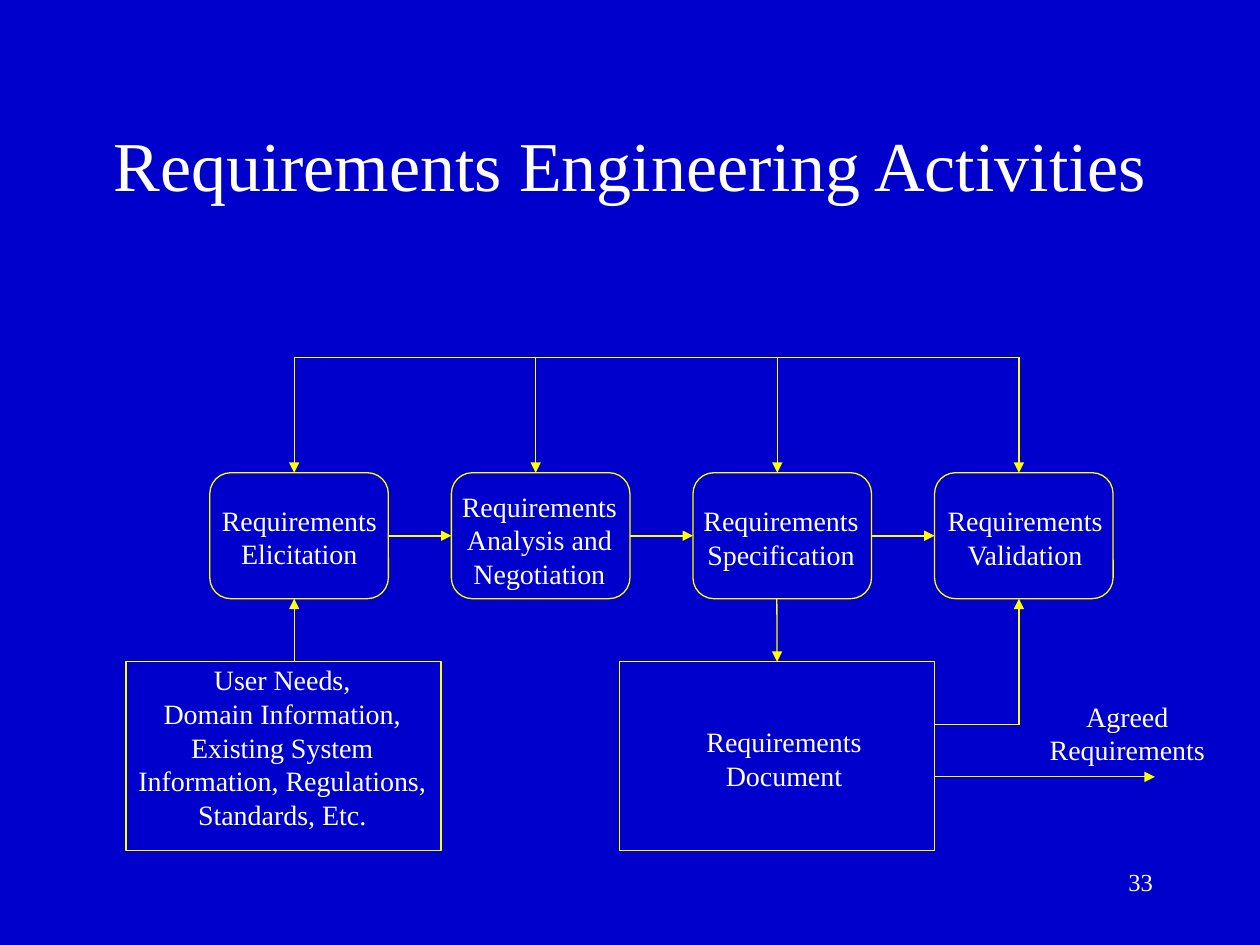
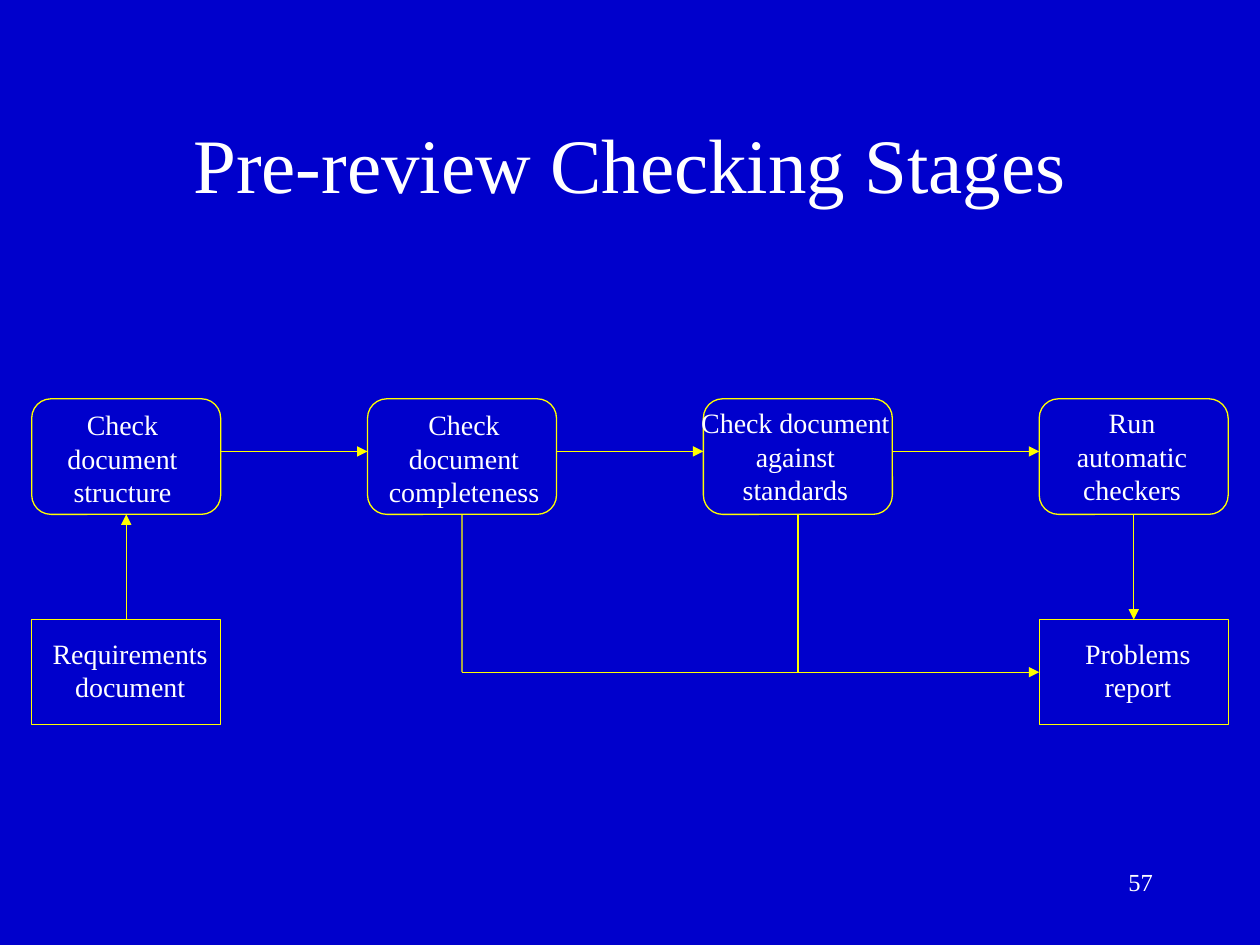
from dataclasses import dataclass
from typing import Any, NamedTuple

from lxml.etree import SubElement
from pptx import Presentation
from pptx.dml.color import RGBColor
from pptx.enum.shapes import MSO_CONNECTOR, MSO_SHAPE
from pptx.enum.text import MSO_ANCHOR, MSO_AUTO_SIZE, PP_ALIGN
from pptx.oxml.ns import qn
from pptx.shapes.autoshape import Shape
from pptx.slide import Slide
from pptx.util import Cm, Pt

TOP, LEFT, BOTTOM, RIGHT = range(4)


@dataclass(frozen=True)
class Theme:
    """Colours, font, type sizes and line widths of the deck."""

    background: RGBColor = RGBColor(0x00, 0x00, 0xCC)
    text: RGBColor = RGBColor(0xFF, 0xFF, 0xFF)
    line: RGBColor = RGBColor(0xFF, 0xFF, 0x00)
    font: str = "Times New Roman"
    label_size: float = 16
    number_size: float = 14
    thin: float = 0.75
    medium: float = 1


THEME = Theme()


class Frame(NamedTuple):
    """Position and size in centimetres."""

    left: float
    top: float
    width: float
    height: float


class Point(NamedTuple):
    """Free line end in centimetres."""

    x: float
    y: float


class Joint(NamedTuple):
    """Line end glued to the middle of a side."""

    shape: Shape
    side: int


@dataclass(frozen=True)
class Label:
    """Centred lines of text placed by their top left corner."""

    text: str
    left: float
    top: float
    width: float = 3.63


TITLE_FRAME = Frame(1.9, 1.7, 21.6, 3.18)
NUMBER_FRAME = Frame(18.2, 17.36, 5.29, 1.27)
LABEL_SLACK = 0.1


def apply_format(target: Any, values: dict[str, Any]) -> None:
    """Set each named attribute on the target."""
    for name, value in values.items():
        setattr(target, name, value)


def add_text(slide: Slide, text: str, frame: Frame, size: float,
             alignment: PP_ALIGN, frame_format: dict[str, Any]) -> None:
    """Add a text box with one paragraph per line."""
    box = slide.shapes.add_textbox(*map(Cm, frame))
    box.text_frame.text = text
    apply_format(box.text_frame, frame_format)
    for paragraph in box.text_frame.paragraphs:
        paragraph.alignment = alignment
        apply_format(paragraph.font, {"name": THEME.font, "size": Pt(size)})
        paragraph.font.color.rgb = THEME.text


def add_labels(slide: Slide, labels: list[Label]) -> None:
    """Add labels with slack on both sides and a height set by their lines."""
    label_format = {"word_wrap": False, "auto_size": MSO_AUTO_SIZE.SHAPE_TO_FIT_TEXT}
    for label in labels:
        height = 0.26 + 0.68 * len(label.text.split("\n"))
        frame = Frame(label.left - LABEL_SLACK, label.top,
                      label.width + 2 * LABEL_SLACK, height)
        add_text(slide, label.text, frame, THEME.label_size, PP_ALIGN.CENTER, label_format)


def add_box(slide: Slide, frame: Frame, rounded: bool = False) -> Shape:
    """Add an outlined rectangle, with round corners for an activity."""
    preset = MSO_SHAPE.ROUNDED_RECTANGLE if rounded else MSO_SHAPE.RECTANGLE
    shape = slide.shapes.add_shape(preset, *map(Cm, frame))
    shape.shadow.inherit = False
    shape.fill.background()
    shape.line.color.rgb = THEME.line
    shape.line.width = Pt(THEME.thin)
    return shape


def add_activities(slide: Slide, first: Frame, step: float) -> list[Shape]:
    """Add a row of four evenly spaced activities."""
    return [add_box(slide, first._replace(left=first.left + step * column), True)
            for column in range(4)]


def add_line(slide: Slide, start: Point | Joint, end: Point | Joint,
             arrow: bool = True, width: float = THEME.thin) -> None:
    """Draw a straight line between free or glued ends."""
    corners = [Cm(value) for spot in (start, end)
               for value in (spot if isinstance(spot, Point) else (0, 0))]
    connector = slide.shapes.add_connector(MSO_CONNECTOR.STRAIGHT, *corners)
    for spot, join in ((start, connector.begin_connect), (end, connector.end_connect)):
        if isinstance(spot, Joint):
            join(*spot)
    connector.line.color.rgb = THEME.line
    connector.line.width = Pt(width)
    properties = connector._element.spPr
    if arrow:
        SubElement(properties.find(qn("a:ln")), qn("a:tailEnd"), type="triangle")
    SubElement(properties, qn("a:effectLst"))


def add_slide(presentation: Any, title: str, title_size: float, number: int) -> Slide:
    """Add a slide with background, title and page number."""
    slide = presentation.slides.add_slide(presentation.slide_layouts[6])
    slide.background.fill.solid()
    slide.background.fill.fore_color.rgb = THEME.background
    add_text(slide, title, TITLE_FRAME, title_size, PP_ALIGN.CENTER,
             {"word_wrap": True, "vertical_anchor": MSO_ANCHOR.MIDDLE})
    add_text(slide, str(number), NUMBER_FRAME, THEME.number_size, PP_ALIGN.RIGHT,
             {"word_wrap": True})
    return slide


def build_engineering_activities(presentation: Any) -> None:
    """Build the flow from elicitation to validation."""
    slide = add_slide(presentation, "Requirements Engineering Activities", 40, 33)
    step, feedback_y, top, bottom = 4.87, 7.2, 9.53, 12.07
    activities = add_activities(slide, Frame(4.23, top, 3.6, bottom - top), step)
    add_box(slide, Frame(2.54, 13.34, 6.35, 3.81))
    document = add_box(slide, Frame(12.49, 13.34, 6.35, 3.81))

    feedback_x = [5.93 + step * column for column in range(4)]
    add_line(slide, Point(feedback_x[0], feedback_y), Point(feedback_x[-1], feedback_y), False)
    for x in feedback_x:
        add_line(slide, Point(x, feedback_y), Point(x, top))
    for before, after in zip(activities, activities[1:]):
        add_line(slide, Joint(before, RIGHT), Joint(after, LEFT), width=THEME.medium)

    add_line(slide, Point(feedback_x[0], 13.34), Point(feedback_x[0], bottom))
    add_line(slide, Point(15.66, bottom), Joint(document, TOP))
    add_line(slide, Point(18.84, 15.66), Point(23.28, 15.66))
    corner = Point(feedback_x[-1], 14.61)
    add_line(slide, Point(18.84, corner.y), corner, False)
    add_line(slide, corner, Point(corner.x, bottom))

    add_labels(slide, [
        Label("Requirements\nElicitation", 4.22, 10.02),
        Label("Requirements\nAnalysis and\nNegotiation", 9.06, 9.74),
        Label("Requirements\nSpecification", 13.93, 10.03),
        Label("Requirements\nValidation", 18.85, 10.03),
        Label("User Needs,\nDomain Information,\nExisting System\n"
              "Information, Regulations,\nStandards, Etc.", 2.54, 13.24, 6.3),
        Label("Requirements\nDocument", 13.99, 14.48),
        Label("Agreed\nRequirements", 20.91, 13.97),
    ])


def build_checking_stages(presentation: Any) -> None:
    """Build the four checks that lead to the problems report."""
    slide = add_slide(presentation, "Pre-review Checking Stages", 44, 57)
    left, step, width, arrow_y, report_y = 0.64, 6.77, 3.81, 9.1, 13.55
    checks = add_activities(slide, Frame(left, 8.04, width, 2.33), step)
    requirements, report = [add_box(slide, Frame(left + step * column, 12.49, width, 2.12))
                            for column in (0, 3)]

    for column in range(3):
        start = left + step * column + width
        add_line(slide, Point(start, arrow_y), Point(start + step - width, arrow_y))
    add_line(slide, Joint(requirements, TOP), Joint(checks[0], BOTTOM))
    add_line(slide, Joint(checks[3], BOTTOM), Joint(report, TOP))
    drops = [Point(left + step * column + width / 2, report_y) for column in (1, 2)]
    for drop, check in zip(drops, checks[1:3]):
        add_line(slide, drop, Joint(check, BOTTOM), False)
    add_line(slide, drops[0], Joint(report, LEFT))

    add_labels(slide, [
        Label("Check\ndocument\nstructure", 1.11, 8.09, 2.72),
        Label("Check\ndocument\ncompleteness", 7.59, 8.09, 3.53),
        Label("Check document\nagainst\nstandards", 13.89, 8.05, 4.29),
        Label("Run\nautomatic\ncheckers", 21.46, 8.05, 2.72),
        Label("Requirements\ndocument", 0.81, 12.7),
        Label("Problems\nreport", 21.62, 12.7, 2.64),
    ])


def main() -> None:
    """Build and save the deck."""
    presentation = Presentation()
    apply_format(presentation, {"slide_width": Cm(25.4), "slide_height": Cm(19.05)})
    build_engineering_activities(presentation)
    build_checking_stages(presentation)
    presentation.save("out.pptx")


if __name__ == "__main__":
    main()
